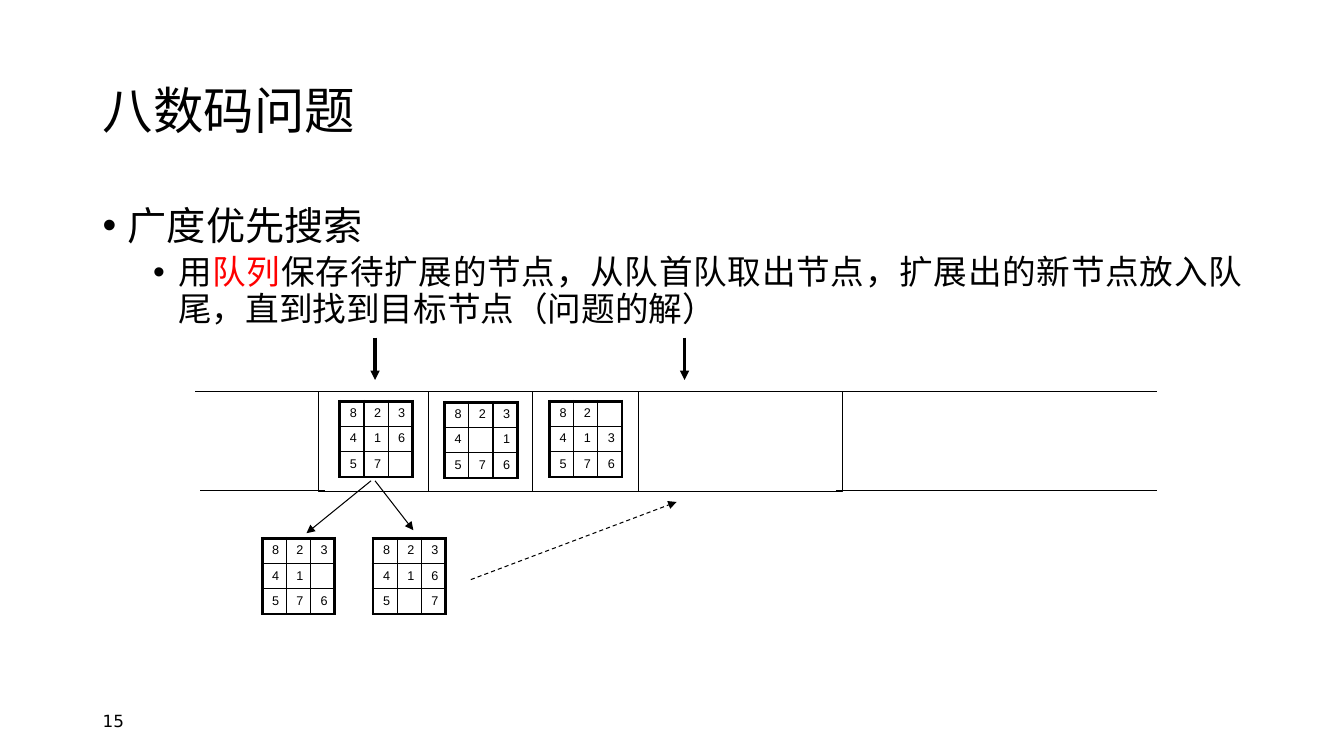
from dataclasses import dataclass
from typing import Optional

from lxml import etree
from pptx import Presentation
from pptx import util as u
from pptx.dml.color import RGBColor
from pptx.enum import dml, shapes, text
from pptx.oxml import ns

COLORS = {"ink": "000000", "accent": "FF0000"}
TILE = 0.24
THIN, EDGE, HEAVY = 0.75, 1, 2.25


@dataclass
class Board:
    left: float
    top: float
    rows: tuple[str, str, str]


@dataclass
class Stroke:
    start: tuple[float, float]
    end: tuple[float, float]
    width: float = THIN
    arrow: bool = False
    dashed: bool = False


def rgb(name: str) -> RGBColor:
    return RGBColor.from_string(COLORS[name])


def sub(parent, tag: str, **attributes: str):
    return etree.SubElement(parent, ns.qn(tag), **attributes)


def format_run(run, size: float, font: str = "Calibri", color: str = "ink") -> None:
    run.font.size = u.Pt(size)
    run.font.name = font
    run.font.color.rgb = rgb(color)


def add_frame(slide, left: float, top: float, width: float, height: float):
    box = slide.shapes.add_textbox(*map(u.Inches, (left, top, width, height)))
    box.text_frame.word_wrap = True
    return box.text_frame


def add_bullet(paragraph, pieces: list[tuple[str, str]], size: float,
               indent: float, before: float) -> None:
    paragraph.alignment = text.PP_ALIGN.JUSTIFY
    paragraph.line_spacing = 0.9
    paragraph.space_before = u.Pt(before)
    props = paragraph._p.get_or_add_pPr()
    props.set("marL", str(u.Inches(indent)))
    props.set("indent", str(u.Inches(-0.25)))
    sub(props, "a:buFont", typeface="Arial")
    sub(props, "a:buChar", char="•")
    for words, color in pieces:
        run = paragraph.add_run()
        run.text = words
        format_run(run, size, color=color)


def set_borders(cell, row: int, column: int) -> None:
    props = cell._tc.get_or_add_tcPr()
    outer = {"a:lnL": column == 0, "a:lnR": column == 2,
             "a:lnT": row == 0, "a:lnB": row == 2}
    for position, (tag, is_outer) in enumerate(outer.items()):
        width = u.Pt(HEAVY if is_outer else EDGE)
        border = etree.Element(ns.qn(tag), w=str(width))
        sub(sub(border, "a:solidFill"), "a:srgbClr", val=COLORS["ink"])
        props.insert(position, border)


def draw_board(slide, board: Board) -> None:
    side = u.Inches(3 * TILE)
    grid = slide.shapes.add_table(
        3, 3, u.Inches(board.left), u.Inches(board.top), side, side).table
    grid.first_row = grid.horz_banding = False
    for row, digits in enumerate(board.rows):
        grid.rows[row].height = grid.columns[row].width = u.Inches(TILE)
        for column, digit in enumerate(digits):
            cell = grid.cell(row, column)
            cell.fill.background()
            set_borders(cell, row, column)
            paragraph = cell.text_frame.paragraphs[0]
            if digit == "_":
                # The blank tile keeps the row at the height of the digits
                sub(paragraph._p, "a:endParaRPr", sz="900")
            else:
                paragraph.text = digit
                format_run(paragraph.runs[0], 9, "Arial")


def draw_stroke(slide, stroke: Stroke) -> None:
    line = slide.shapes.add_connector(
        shapes.MSO_CONNECTOR.STRAIGHT,
        *map(u.Inches, (*stroke.start, *stroke.end)))
    line.line.width = u.Pt(stroke.width)
    line.line.color.rgb = rgb("ink")
    if stroke.dashed:
        line.line.dash_style = dml.MSO_LINE.DASH
    if stroke.arrow:
        sub(line.line._get_or_add_ln(), "a:tailEnd", type="triangle")
    sub(line._element.spPr, "a:effectLst")


def draw_all(slide, boards: list[Board], strokes: list[Stroke],
             queue: Optional[tuple[float, float, float, float]] = None) -> None:
    for board in boards:
        draw_board(slide, board)
    if queue:
        body = slide.shapes.add_shape(
            shapes.MSO_SHAPE.RECTANGLE, *map(u.Inches, queue))
        body.shadow.inherit = False
        body.fill.background()
        body.line.color.rgb = rgb("ink")
        body.line.width = u.Pt(THIN)
    for stroke in strokes:
        draw_stroke(slide, stroke)


deck = Presentation()
deck.slide_width, deck.slide_height = u.Inches(13.33), u.Inches(7.5)
slide = deck.slides.add_slide(deck.slide_layouts[5])

# Title
title = slide.shapes.title
title.left, title.top = u.Inches(0.92), u.Inches(0.4)
title.width, title.height = u.Inches(11.5), u.Inches(1.45)
title.text_frame.text = "八数码问题"
title.text_frame.vertical_anchor = text.MSO_ANCHOR.MIDDLE
heading = title.text_frame.paragraphs[0]
heading.alignment = text.PP_ALIGN.LEFT
heading.line_spacing = 0.9
format_run(heading.runs[0], 36)

# Explanation of the search
explanation = add_frame(slide, 0.92, 2, 11.5, 4.76)
add_bullet(explanation.paragraphs[0], [("广度优先搜索", "ink")], 28, 0.25, 10)
detail = explanation.add_paragraph()
detail.level = 1
add_bullet(detail, [
    ("用", "ink"),
    ("队列", "accent"),
    ("保存待扩展的节点，从队首队取出节点，扩展出的新节点放入队尾，"
     "直到找到目标节点（问题的解）", "ink"),
], 24, 0.75, 5)

# Queue with its waiting nodes, open at both ends
TOP, BOTTOM = 3.88, 4.87
waiting = [
    Board(3.37, 3.98, ("823", "416", "57_")),
    Board(4.41, 3.99, ("823", "4_1", "576")),
    Board(5.45, 3.98, ("82_", "413", "576")),
]
rails = [
    Stroke((3.17, TOP), (1.93, TOP)),
    Stroke((3.22, BOTTOM), (1.98, BOTTOM)),
    Stroke((8.35, TOP), (11.48, TOP)),
    Stroke((8.29, BOTTOM), (11.48, BOTTOM)),
]
dividers = [Stroke((x, TOP), (x, BOTTOM)) for x in (4.25, 5.28, 6.33)]
ends = [Stroke((x, 3.35), (x, 3.77), HEAVY, arrow=True) for x in (3.72, 6.79)]
draw_all(slide, waiting, rails + dividers + ends, (3.16, TOP, 5.2, 1))

# Expanded nodes joining the tail
expanded = [
    Board(2.6, 5.34, ("823", "41_", "576")),
    Board(3.7, 5.34, ("823", "416", "5_7")),
]
moves = [
    Stroke((3.68, 4.77), (3.04, 5.29), arrow=True),
    Stroke((3.72, 4.77), (4.1, 5.26), arrow=True),
    Stroke((4.67, 5.75), (6.71, 4.98), arrow=True, dashed=True),
]
draw_all(slide, expanded, moves)

# Page number
page = add_frame(slide, 0.92, 6.95, 3, 0.4)
page.vertical_anchor = text.MSO_ANCHOR.MIDDLE
page.text = "15"
format_run(page.paragraphs[0].runs[0], 12, "DejaVu Sans")

deck.save("out.pptx")
